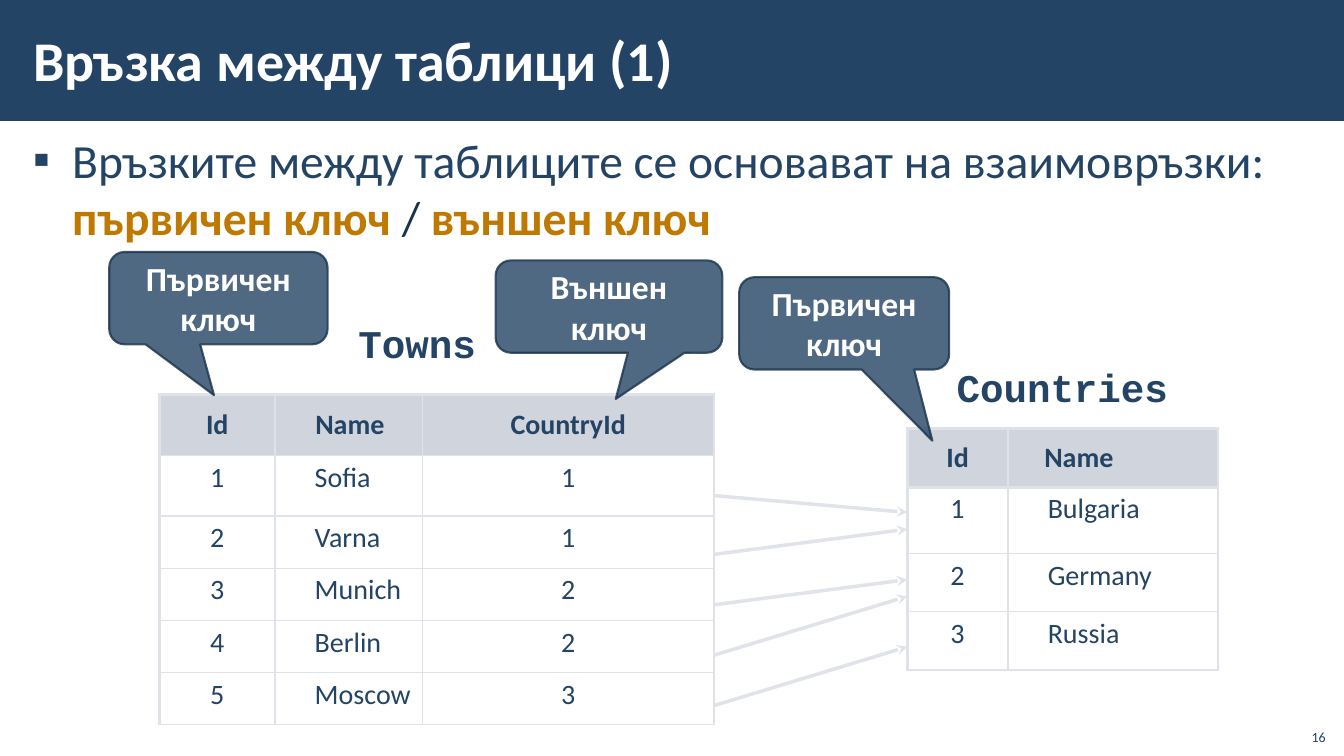
import pptx
import pptx.util
from lxml import etree
from pptx.dml.color import RGBColor
from pptx.enum.shapes import MSO_CONNECTOR, MSO_SHAPE
from pptx.enum.text import MSO_ANCHOR, MSO_AUTO_SIZE, PP_ALIGN
from pptx.oxml.ns import qn

Pt = pptx.util.Pt
NAVY = RGBColor(0x23, 0x44, 0x65)
DARK = RGBColor(0x1A, 0x33, 0x4C)
GOLD = RGBColor(0xBF, 0x78, 0x00)
WHITE = RGBColor(0xFF, 0xFF, 0xFF)
HEADER = RGBColor(0xD0, 0xD4, 0xDC)
BORDER = RGBColor(0xDF, 0xE2, 0xE9)
ARROW = RGBColor(0xE0, 0xE3, 0xE9)
THIN, THICK = 0.96, 2.21


class SlideBuilder:
    font = "Calibri"
    code_font = "Courier New"

    def __init__(self, prs):
        self.s = prs.slides.add_slide(prs.slide_layouts[1])

    def style(self, p, size, color, bold=False, align=PP_ALIGN.LEFT, font=None):
        f = p.font
        f.name, f.size, f.bold = font or self.font, Pt(size), bold
        f.color.rgb = color
        p.alignment = align

    def place(self, sp, box, margins=(8.6, 2.9)):
        sp.left, sp.top, sp.width, sp.height = (Pt(v) for v in box)
        tf = sp.text_frame
        tf.margin_left = tf.margin_right = Pt(margins[0])
        tf.margin_top = tf.margin_bottom = Pt(margins[1])
        tf.auto_size = MSO_AUTO_SIZE.NONE
        return tf

    def banner(self, box, color):
        sp = self.s.shapes.add_shape(MSO_SHAPE.RECTANGLE, *(Pt(v) for v in box))
        sp.shadow.inherit = False
        sp.fill.solid()
        sp.fill.fore_color.rgb = color
        sp.line.fill.background()
        # Send behind the title
        self.s.shapes._spTree.insert(2, sp._element)

    def title(self, box, text):
        tf = self.place(self.s.shapes.title, box)
        tf.text = text
        tf.vertical_anchor = MSO_ANCHOR.MIDDLE
        self.style(tf.paragraphs[0], 40, WHITE, True)

    def bullet(self, box, runs):
        tf = self.place(self.s.placeholders[1], box)
        tf.vertical_anchor = MSO_ANCHOR.TOP
        p = tf.paragraphs[0]
        self.style(p, 34, NAVY)
        p.space_before = p.space_after = Pt(6)
        pPr = p._p.get_or_add_pPr()
        pPr.set("marL", str(Pt(28)))
        pPr.set("indent", str(-Pt(28)))
        # Bullet elements must stand before the default run properties
        defRPr = pPr.find(qn("a:defRPr"))
        color = etree.Element(qn("a:buClr"))
        etree.SubElement(color, qn("a:srgbClr"), val=str(NAVY))
        defRPr.addprevious(color)
        defRPr.addprevious(etree.Element(qn("a:buFont"), typeface=self.font))
        defRPr.addprevious(etree.Element(qn("a:buChar"), char="▪"))
        for text, color, bold in runs:
            r = p.add_run()
            r.text = text
            r.font.color.rgb, r.font.bold = color, bold

    def text(self, box, text, size, bold=False, align=PP_ALIGN.CENTER,
             anchor=MSO_ANCHOR.TOP, font=None, wrap=True):
        sp = self.s.shapes.add_textbox(0, 0, 0, 0)
        tf = self.place(sp, box, (7.2, 3.6))
        tf.word_wrap, tf.vertical_anchor = wrap, anchor
        p = tf.paragraphs[0]
        p.text = text
        self.style(p, size, NAVY, bold, align, font)
        return p

    def table_name(self, box, text):
        p = self.text(box, text, 28, True, font=self.code_font, wrap=False)
        p.line_spacing, p.space_before = 0.9, Pt(8.4)

    def arrow(self, x1, y1, x2, y2):
        c = self.s.shapes.add_connector(MSO_CONNECTOR.STRAIGHT,
                                        Pt(x1), Pt(y1), Pt(x2), Pt(y2))
        c.line.color.rgb, c.line.width = ARROW, Pt(2.5)
        etree.SubElement(c.line._get_or_add_ln(), qn("a:tailEnd"), type="stealth")
        etree.SubElement(c._element.spPr, qn("a:effectLst"))

    def borders(self, cell, widths):
        tcPr = cell._tc.get_or_add_tcPr()
        for i, (side, width) in enumerate(zip("LRTB", widths)):
            ln = etree.Element(qn("a:ln" + side), w=str(Pt(width)))
            fill = etree.SubElement(ln, qn("a:solidFill"))
            etree.SubElement(fill, qn("a:srgbClr"), val=str(BORDER))
            tcPr.insert(i, ln)

    def table(self, x, y, cols, heights, rows, indents, right, under_header):
        """indents: left indent of the name column for header and body."""
        frame = self.s.shapes.add_table(len(rows), len(cols), Pt(x), Pt(y),
                                        Pt(sum(cols)), Pt(sum(heights)))
        t = frame.table
        t.first_row = t.horz_banding = False
        for col, width in zip(t.columns, cols):
            col.width = Pt(width)
        for i, (row, height) in enumerate(zip(rows, heights)):
            t.rows[i].height = Pt(height)
            for j, text in enumerate(row):
                cell = t.cell(i, j)
                head, name = i == 0, j == 1
                if head:
                    cell.fill.solid()
                    cell.fill.fore_color.rgb = HEADER
                    cell.vertical_anchor = MSO_ANCHOR.MIDDLE
                else:
                    cell.fill.background()
                p = cell.text_frame.paragraphs[0]
                p.text = text
                self.style(p, 20, NAVY, head,
                           PP_ALIGN.LEFT if name else PP_ALIGN.CENTER)
                p.space_before = Pt(4.6 if i < 2 else 2.4)
                if name:
                    p._p.get_or_add_pPr().set("marL", str(Pt(indents[min(i, 1)])))
                self.borders(cell, (
                    THICK if j == 0 else THIN,
                    right if j == len(cols) - 1 else THIN,
                    THICK if head else under_header if i == 1 else THIN,
                    under_header if head else THIN))

    def callout(self, box, text, tip):
        sp = self.s.shapes.add_shape(MSO_SHAPE.ROUNDED_RECTANGULAR_CALLOUT, 0, 0, 0, 0)
        tf = self.place(sp, box, (7.2, 3.6))
        sp.shadow.inherit = False
        sp.adjustments[0], sp.adjustments[1] = tip
        sp.fill.solid()
        sp.fill.fore_color.rgb = NAVY
        sp.line.color.rgb, sp.line.width = DARK, Pt(1.5)
        for color in sp._element.spPr.iter(qn("a:srgbClr")):
            etree.SubElement(color, qn("a:alpha"), val="80000")
        tf.word_wrap, tf.vertical_anchor = True, MSO_ANCHOR.MIDDLE
        tf.text = text
        self.style(tf.paragraphs[0], 24, WHITE, True, PP_ALIGN.CENTER)


def main():
    prs = pptx.Presentation()
    prs.slide_width, prs.slide_height = Pt(960), Pt(540)
    b = SlideBuilder(prs)

    # Heading and statement
    b.banner((0, 0, 960, 86.4), NAVY)
    b.title((15, 8, 808.6, 69), "Връзка между таблици (1)")
    b.bullet((15, 90.7, 929.5, 438.5), [
        ("Връзките между таблиците се основават на взаимовръзки: ", NAVY, False),
        ("първичен ключ ", GOLD, True),
        ("/ ", DARK, False),
        ("външен ключ", GOLD, True)])

    # Table names
    b.table_name((249, 228, 98, 37.5), "Towns")
    b.table_name((676, 260, 165.6, 37.5), "Countries")

    # Links from foreign keys to primary keys
    for y1, y2 in ((354, 366), (396, 378), (432, 414), (468, 426), (504, 462)):
        b.arrow(510, y1, 648, y2)

    # Tables
    towns = [("Id", "Name", "CountryId"), ("1", "Sofia", "1"), ("2", "Varna", "1"),
             ("3", "Munich", "2"), ("4", "Berlin", "2"), ("5", "Moscow", "3")]
    b.table(114, 282, (82.4, 105.4, 208.2), [43.3] * 2 + [37.3] * 4, towns,
            (21.6, 21.2), THICK, THIN)
    countries = [("Id", "Name"), ("1", "Bulgaria"), ("2", "Germany"), ("3", "Russia")]
    b.table(648, 306, (72, 150), (42, 47.5, 41.6, 41.6), countries,
            (18.7, 21.2), THIN, THICK)

    # Key callouts
    b.callout((78, 180, 156, 66), "Първичен ключ", (-0.02, 1.05))
    b.callout((354, 186, 162, 66), "Външен ключ", (0.03, 1))
    b.callout((528, 198, 150, 66), "Първичен ключ", (0.42, 1.27))

    # Page number
    b.text((925, 512.6, 29, 23), "16", 10, align=PP_ALIGN.RIGHT,
           anchor=MSO_ANCHOR.BOTTOM)
    prs.save("out.pptx")


if __name__ == "__main__":
    main()
